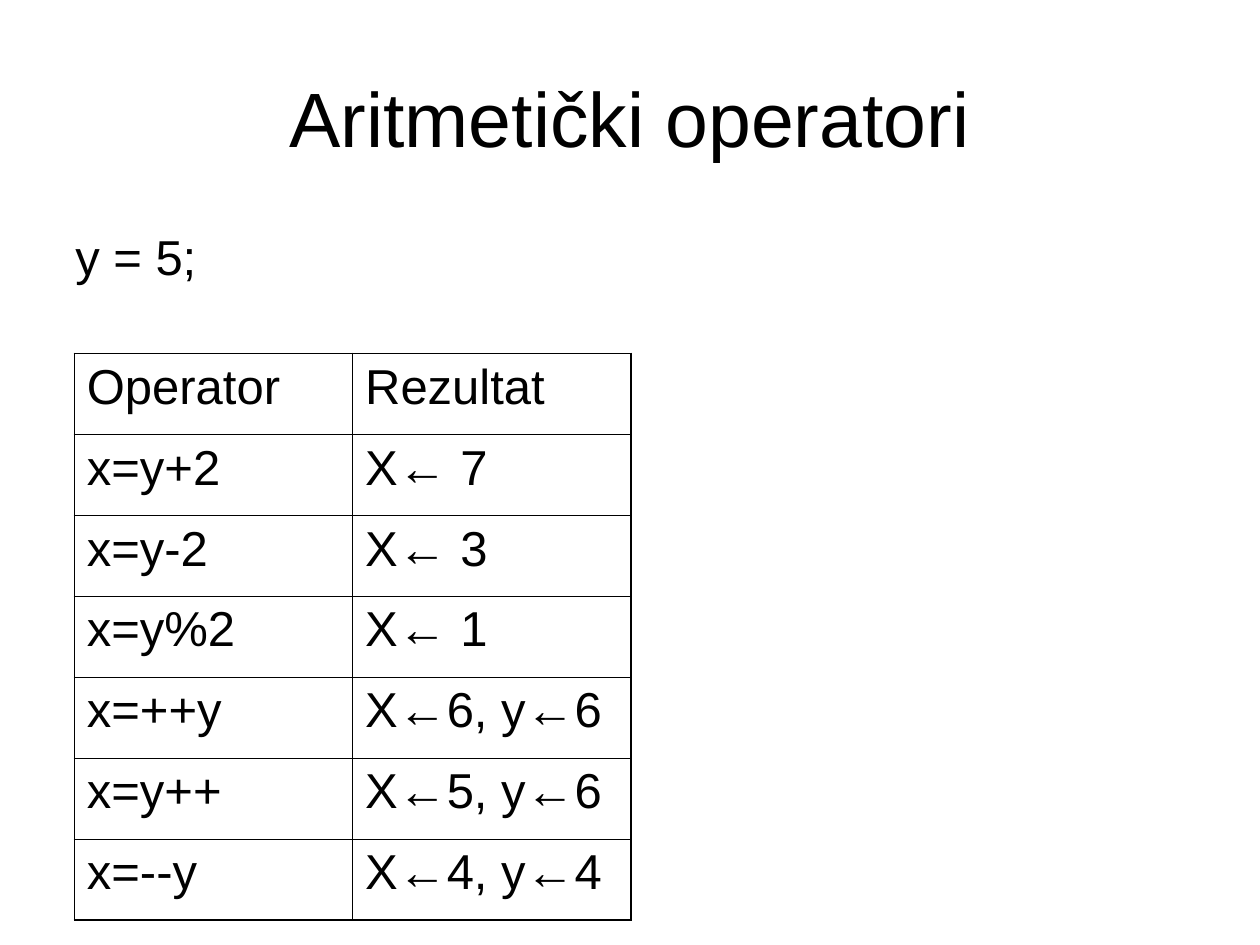
from dataclasses import dataclass

from lxml import etree
from pptx import Presentation
from pptx.dml.color import RGBColor
from pptx.enum import text
from pptx.oxml import ns
from pptx.util import Pt

BLACK = RGBColor(0, 0, 0)
WHITE = RGBColor(255, 255, 255)
FONT = "Arial"
OUTER, INNER = 1.08, 0.45


@dataclass
class Label:
    content: str
    left: float
    top: float
    width: float
    height: float
    size: float
    before: float = 0
    align: text.PP_ALIGN = text.PP_ALIGN.LEFT
    anchor: text.MSO_ANCHOR = text.MSO_ANCHOR.TOP


@dataclass
class Row:
    operator: str
    result: str


LABELS = [
    Label("Aritmetički operatori", 36, 21.6, 648, 90, 44,
          align=text.PP_ALIGN.CENTER, anchor=text.MSO_ANCHOR.MIDDLE),
    Label("y = 5;", 36, 126, 318, 65, 28, before=7),
]
ROWS = [
    Row("Operator", "Rezultat"),
    Row("x=y+2", "X← 7"),
    Row("x=y-2", "X← 3"),
    Row("x=y%2", "X← 1"),
    Row("x=++y", "X←6, y←6"),
    Row("x=y++", "X←5, y←6"),
    Row("x=--y", "X←4, y←4"),
]


def style_paragraph(p, size: float, before: float) -> None:
    p.space_before = Pt(before)
    p.font.name = FONT
    p.font.size = Pt(size)
    p.font.color.rgb = BLACK


def draw_label(s, label: Label) -> None:
    sp = s.shapes.add_textbox(Pt(label.left), Pt(label.top), Pt(label.width), Pt(label.height))
    tf = sp.text_frame
    tf.word_wrap = True
    tf.vertical_anchor = label.anchor
    p = tf.paragraphs[0]
    p.text = label.content
    p.alignment = label.align
    style_paragraph(p, label.size, label.before)


def set_border(cell, side: str, width: float) -> None:
    ln = etree.SubElement(cell._tc.get_or_add_tcPr(), ns.qn(f"a:ln{side}"), w=str(int(Pt(width))))
    fill = etree.SubElement(ln, ns.qn("a:solidFill"))
    etree.SubElement(fill, ns.qn("a:srgbClr"), val=str(BLACK))


def draw_table(s, rows: list[Row]) -> None:
    table = s.shapes.add_table(len(rows), 2, Pt(42.5), Pt(202), Pt(318), Pt(324)).table
    table.first_row = False
    table.horz_banding = False
    last = len(rows) - 1
    for i, row in enumerate(rows):
        for j, content in enumerate((row.operator, row.result)):
            cell = table.cell(i, j)
            cell.text = content
            style_paragraph(cell.text_frame.paragraphs[0], 28, 7)
            edges = {"L": j == 0, "R": j == 1, "T": i == 0, "B": i == last}
            for side, is_outer in edges.items():
                set_border(cell, side, OUTER if is_outer else INNER)
            cell.fill.background()


def main() -> None:
    prs = Presentation()
    prs.slide_width, prs.slide_height = Pt(720), Pt(540)
    s = prs.slides.add_slide(prs.slide_layouts[6])
    s.background.fill.solid()
    s.background.fill.fore_color.rgb = WHITE
    for label in LABELS:
        draw_label(s, label)
    draw_table(s, ROWS)
    prs.save("out.pptx")


if __name__ == "__main__":
    main()
